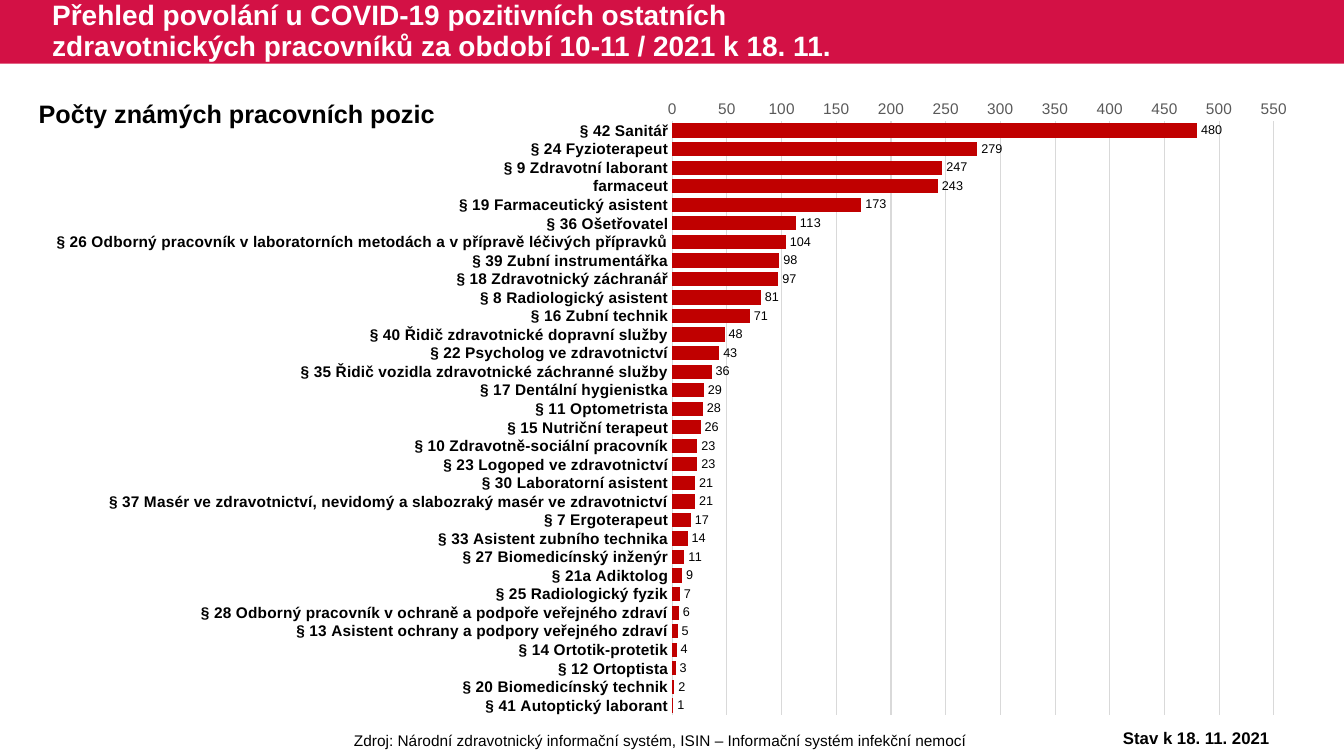
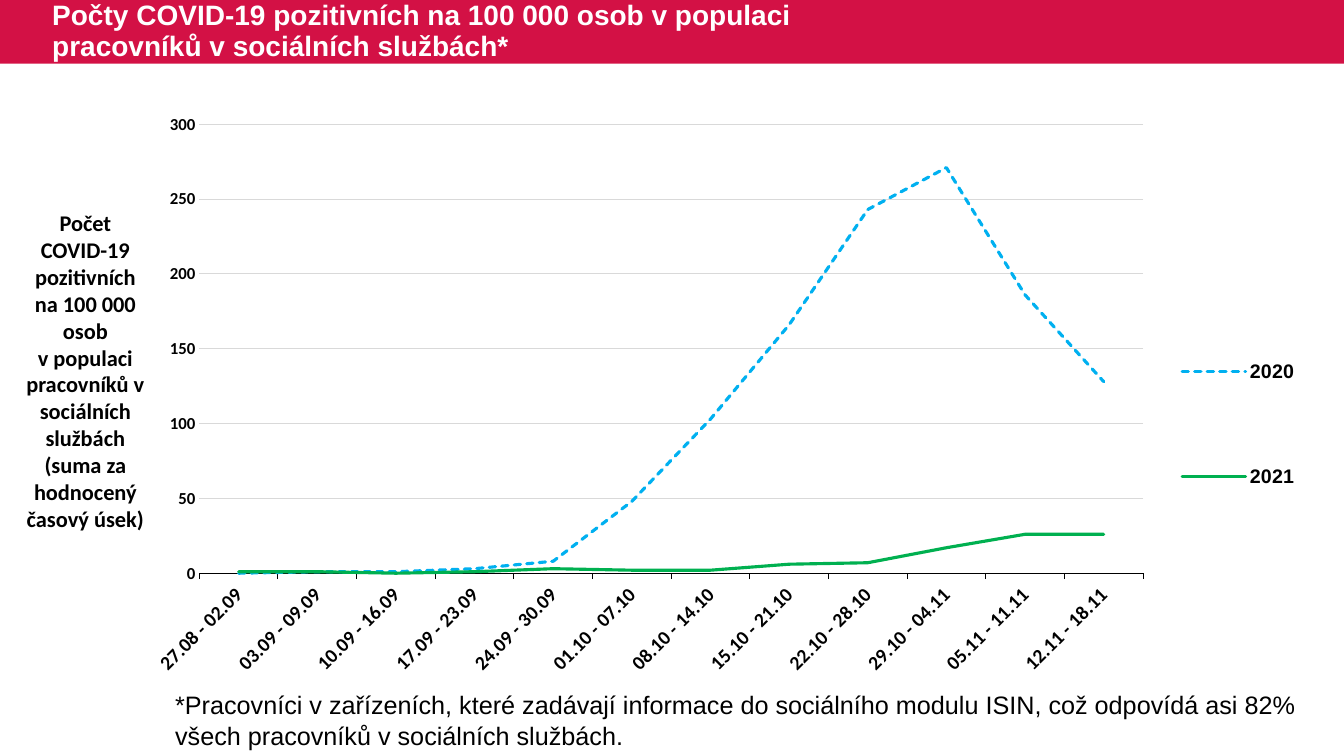
from dataclasses import dataclass

from lxml.etree import SubElement
from pptx import Presentation
from pptx.chart.axis import CategoryAxis, ValueAxis
from pptx.chart.chart import Chart
from pptx.chart.data import CategoryChartData
from pptx.dml.color import RGBColor
from pptx.dml.line import LineFormat
from pptx.enum.chart import XL_CHART_TYPE as ChartType
from pptx.enum.chart import XL_LABEL_POSITION as LabelPosition
from pptx.enum.chart import XL_LEGEND_POSITION as LegendPosition
from pptx.enum.chart import XL_TICK_MARK as TickMark
from pptx.enum.dml import MSO_LINE as Dash
from pptx.enum.shapes import MSO_SHAPE as ShapeKind
from pptx.enum.text import MSO_ANCHOR as Anchor
from pptx.enum.text import PP_ALIGN as Align
from pptx.oxml.ns import qn
from pptx.oxml.xmlchemy import BaseOxmlElement
from pptx.slide import Slide
from pptx.text.text import Font
from pptx.util import Pt

CRIMSON = RGBColor(0xD3, 0x11, 0x45)
WHITE = RGBColor(0xFF, 0xFF, 0xFF)
BLACK = RGBColor(0x00, 0x00, 0x00)
GRAY = RGBColor(0x59, 0x59, 0x59)
LIGHT_GRAY = RGBColor(0xD9, 0xD9, 0xD9)
DARK_RED = RGBColor(0xC0, 0x00, 0x00)
SKY_BLUE = RGBColor(0x00, 0xB0, 0xF0)
GREEN = RGBColor(0x00, 0xB0, 0x50)

PAGE_WIDTH, PAGE_HEIGHT = 960, 540
BAND_HEIGHT = 45.5
HARD_SPACE = chr(160)


@dataclass(frozen=True)
class Frame:
    left: float
    top: float
    width: float
    height: float

    def lengths(self) -> tuple[Pt, Pt, Pt, Pt]:
        return Pt(self.left), Pt(self.top), Pt(self.width), Pt(self.height)


@dataclass(frozen=True)
class TextStyle:
    size: float
    bold: bool = False
    color: RGBColor = BLACK
    name: str = "Arial"

    def apply(self, font: Font) -> None:
        font.size = Pt(self.size)
        font.bold = self.bold
        font.name = self.name
        font.color.rgb = self.color


@dataclass(frozen=True)
class LineSeries:
    name: str
    values: tuple[int, ...]
    color: RGBColor
    dash: Dash


TITLE_STYLE = TextStyle(20, True, WHITE)

POSITIONS = (
    ("§ 42 Sanitář", 480),
    ("§ 24 Fyzioterapeut", 279),
    ("§ 9 Zdravotní laborant", 247),
    ("farmaceut", 243),
    ("§ 19 Farmaceutický asistent", 173),
    ("§ 36 Ošetřovatel", 113),
    ("§ 26 Odborný pracovník v laboratorních metodách a v přípravě léčivých přípravků", 104),
    ("§ 39 Zubní instrumentářka", 98),
    ("§ 18 Zdravotnický záchranář", 97),
    ("§ 8 Radiologický asistent", 81),
    ("§ 16 Zubní technik", 71),
    ("§ 40 Řidič zdravotnické dopravní služby", 48),
    ("§ 22 Psycholog ve zdravotnictví", 43),
    ("§ 35 Řidič vozidla zdravotnické záchranné služby", 36),
    ("§ 17 Dentální hygienistka", 29),
    ("§ 11 Optometrista", 28),
    ("§ 15 Nutriční terapeut", 26),
    ("§ 10 Zdravotně-sociální pracovník", 23),
    ("§ 23 Logoped ve zdravotnictví", 23),
    ("§ 30 Laboratorní asistent", 21),
    ("§ 37 Masér ve zdravotnictví, nevidomý a slabozraký masér ve zdravotnictví", 21),
    ("§ 7 Ergoterapeut", 17),
    ("§ 33 Asistent zubního technika", 14),
    ("§ 27 Biomedicínský inženýr", 11),
    ("§ 21a Adiktolog", 9),
    ("§ 25 Radiologický fyzik", 7),
    ("§ 28 Odborný pracovník v ochraně a podpoře veřejného zdraví", 6),
    ("§ 13 Asistent ochrany a podpory veřejného zdraví", 5),
    ("§ 14 Ortotik-protetik", 4),
    ("§ 12 Ortoptista", 3),
    ("§ 20 Biomedicínský technik", 2),
    ("§ 41 Autoptický laborant", 1),
)

WEEKS = (
    "27.08 - 02.09", "03.09 - 09.09", "10.09 - 16.09", "17.09 - 23.09",
    "24.09 - 30.09", "01.10 - 07.10", "08.10 - 14.10", "15.10 - 21.10",
    "22.10 - 28.10", "29.10 - 04.11", "05.11 - 11.11", "12.11 - 18.11",
)
YEARS = (
    LineSeries("2020", (0, 1, 1, 3, 8, 48, 103, 166, 243, 271, 186, 128),
               SKY_BLUE, Dash.SQUARE_DOT),
    LineSeries("2021", (1, 1, 0, 1, 3, 2, 2, 6, 7, 17, 26, 26), GREEN, Dash.SOLID),
)


def add_text(page: Slide, text: str, frame: Frame, style: TextStyle,
             align: Align = Align.LEFT, anchor: Anchor = Anchor.TOP,
             line_spacing: float = 1.0, wrap: bool = True) -> None:
    text_frame = page.shapes.add_textbox(*frame.lengths()).text_frame
    text_frame.word_wrap = wrap
    text_frame.vertical_anchor = anchor
    text_frame.text = text
    para = text_frame.paragraphs[0]
    para.alignment = align
    para.line_spacing = line_spacing
    for span in para.runs:
        style.apply(span.font)


def add_page(deck: Presentation, title: str, title_width: float) -> Slide:
    """Add a blank slide with the crimson band and its title."""
    page = deck.slides.add_slide(deck.slide_layouts[6])
    band = page.shapes.add_shape(
        ShapeKind.RECTANGLE, *Frame(0, 0, PAGE_WIDTH, BAND_HEIGHT).lengths())
    band.shadow.inherit = False
    band.fill.solid()
    band.fill.fore_color.rgb = CRIMSON
    band.line.fill.background()
    add_text(page, title, Frame(30.2, 0, title_width, BAND_HEIGHT), TITLE_STYLE,
             anchor=Anchor.MIDDLE, line_spacing=0.9)
    return page


def add_chart(page: Slide, kind: ChartType, frame: Frame, data: CategoryChartData,
              style: TextStyle) -> Chart:
    chart = page.shapes.add_chart(kind, *frame.lengths(), data).chart
    chart.has_title = False
    chart.has_legend = False
    style.apply(chart.font)
    chart.plots[0].vary_by_categories = False
    return chart


def place(element: BaseOxmlElement, index: int, area: Frame, inner: bool = False) -> None:
    """Fix a chart part at percentages of the chart's width and height."""
    for old in element.findall(qn("c:layout")):
        element.remove(old)
    layout = SubElement(element, qn("c:layout"))
    element.insert(index, layout)
    manual = SubElement(layout, qn("c:manualLayout"))
    settings = {"layoutTarget": "inner"} if inner else {}
    settings |= {"xMode": "edge", "yMode": "edge"}
    sides = {"x": area.left, "y": area.top, "w": area.width, "h": area.height}
    settings |= {side: str(round(percent / 100, 4)) for side, percent in sides.items()}
    for tag, value in settings.items():
        SubElement(manual, qn(f"c:{tag}")).set("val", value)


def place_plot(chart: Chart, area: Frame) -> None:
    place(chart.plots[0]._element.getparent(), 0, area, inner=True)


def draw_line(line: LineFormat, color: RGBColor, width: float = 0.75) -> None:
    line.color.rgb = color
    line.width = Pt(width)


def style_value_axis(axis: ValueAxis, maximum: int, style: TextStyle) -> None:
    axis.minimum_scale, axis.maximum_scale, axis.major_unit = 0, maximum, 50
    axis.major_tick_mark = axis.minor_tick_mark = TickMark.NONE
    axis.has_major_gridlines = True
    draw_line(axis.major_gridlines.format.line, LIGHT_GRAY)
    axis.format.line.fill.background()
    style.apply(axis.tick_labels.font)


def style_category_axis(axis: CategoryAxis, tick: TickMark, color: RGBColor,
                        style: TextStyle) -> None:
    axis.major_tick_mark, axis.minor_tick_mark = tick, TickMark.NONE
    draw_line(axis.format.line, color)
    style.apply(axis.tick_labels.font)


def add_positions_chart(page: Slide) -> None:
    data = CategoryChartData()
    data.categories = [name for name, _ in POSITIONS]
    data.add_series("Series 1", [count for _, count in POSITIONS])
    chart = add_chart(page, ChartType.BAR_CLUSTERED, Frame(3, 57.6, 934, 462.2), data,
                      TextStyle(10))
    place_plot(chart, Frame(51.1, 6.3, 46, 91.7))
    style_category_axis(chart.category_axis, TickMark.NONE, LIGHT_GRAY, TextStyle(11, True))
    chart.category_axis.reverse_order = True
    style_value_axis(chart.value_axis, 550, TextStyle(11, color=GRAY))

    plot = chart.plots[0]
    plot.gap_width, plot.overlap = 30, 100
    fill = plot.series[0].format.fill
    fill.solid()
    fill.fore_color.rgb = DARK_RED
    labels = plot.series[0].data_labels
    labels.show_value = True
    labels.position = LabelPosition.OUTSIDE_END
    TextStyle(9).apply(labels.font)


def add_years_chart(page: Slide) -> None:
    data = CategoryChartData()
    data.categories = WEEKS
    for year in YEARS:
        data.add_series(year.name, year.values)
    chart = add_chart(page, ChartType.LINE, Frame(104.6, 81.6, 839.5, 422.6), data,
                      TextStyle(14, True))
    place_plot(chart, Frame(4.5, 1.7, 80.3, 75.9))
    style_category_axis(chart.category_axis, TickMark.OUTSIDE, BLACK,
                        TextStyle(14, True, name="Calibri"))
    label_body = chart.category_axis._element.find(qn("c:txPr")).find(qn("a:bodyPr"))
    label_body.set("rot", str(-45 * 60000))
    label_body.set("vert", "horz")
    style_value_axis(chart.value_axis, 300, TextStyle(12, True, name="Calibri"))

    for series, year in zip(chart.plots[0].series, YEARS):
        series.smooth = False
        draw_line(series.format.line, year.color, 2.25)
        series.format.line.dash_style = year.dash
        series._element.find(qn("c:spPr")).find(qn("a:ln")).set("cap", "rnd")

    chart.has_legend = True
    chart.legend.position = LegendPosition.RIGHT
    chart.legend.include_in_layout = False
    TextStyle(14, True).apply(chart.legend.font)
    place(chart.legend._element, 1, Frame(86.9, 27.5, 12, 49.7))


def add_positions_page(deck: Presentation) -> None:
    page = add_page(deck, "Přehled povolání u COVID-19 pozitivních ostatních zdravotnických "
                          "pracovníků za období 10-11 / 2021 k 18. 11.", 595)
    add_positions_chart(page)
    add_text(page, "Počty známých pracovních pozic", Frame(20.5, 67, 300, 29),
             TextStyle(18, True), wrap=False)
    add_text(page, "Zdroj: Národní zdravotnický informační systém, ISIN – "
                   "Informační systém infekční nemocí",
             Frame(170.3, 518.5, 603, 21), TextStyle(11), Align.CENTER)
    add_text(page, "Stav k 18. 11. 2021", Frame(775.5, 516.5, 158, 22),
             TextStyle(12, True), Align.CENTER)


def add_years_page(deck: Presentation) -> None:
    page = add_page(deck, "Počty COVID-19 pozitivních na 100 000 osob v populaci "
                          "pracovníků v sociálních službách*", 614)
    population = HARD_SPACE.join(("na", "100", "000")) + " osob " + HARD_SPACE.join(("v", "populaci"))
    add_text(page, f"Počet COVID-19 pozitivních {population} pracovníků "
                   "v sociálních službách (suma za hodnocený časový úsek)",
             Frame(4.5, 146, 113, 220), TextStyle(16, True, name="Calibri"), Align.CENTER)
    add_text(page, "*Pracovníci v zařízeních, které zadávají informace do sociálního modulu "
                   "ISIN, což odpovídá asi 82% všech pracovníků v sociálních službách.",
             Frame(118, 489, 832, 51), TextStyle(18))
    add_years_chart(page)


def main() -> None:
    deck = Presentation()
    deck.slide_width, deck.slide_height = Pt(PAGE_WIDTH), Pt(PAGE_HEIGHT)
    add_positions_page(deck)
    add_years_page(deck)
    deck.save("out.pptx")


if __name__ == "__main__":
    main()
